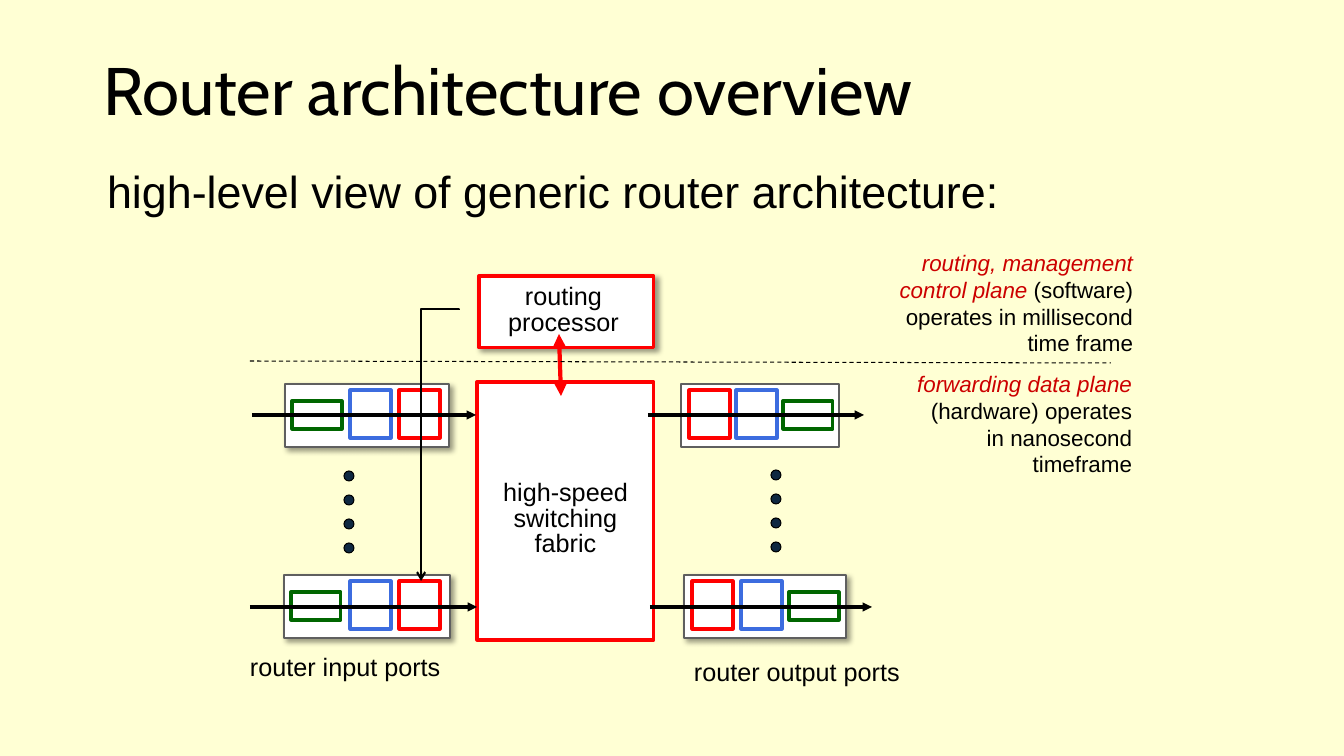
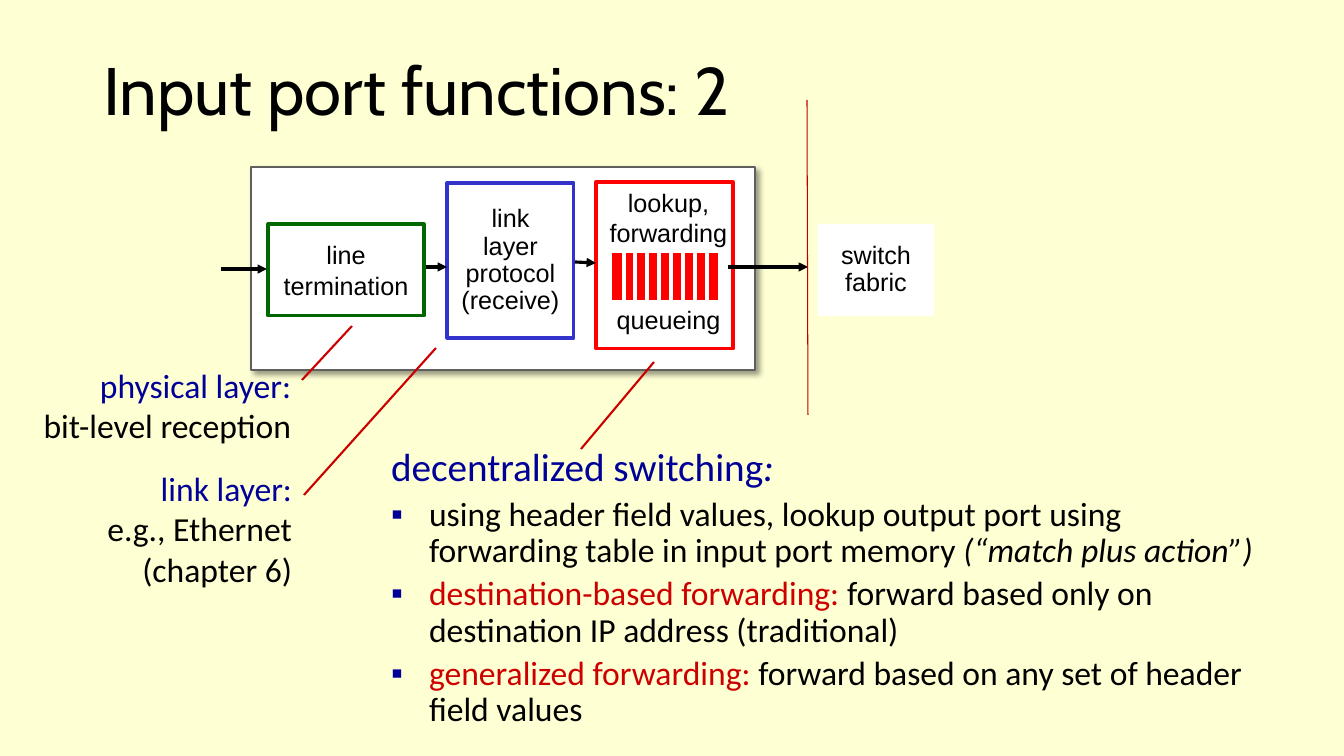
from pptx import Presentation
from pptx.dml.color import RGBColor
from pptx.enum.dml import MSO_LINE
from pptx.enum.shapes import MSO_CONNECTOR, MSO_SHAPE
from pptx.enum.text import MSO_ANCHOR, MSO_AUTO_SIZE, PP_ALIGN
from pptx.oxml import parse_xml
from pptx.oxml.ns import nsdecls, qn
from pptx.util import Pt

PX = 9071  # EMU in one px
BLACK, WHITE, GRAY = "000000", "FFFFFF", "5F5F5F"
RED, DARK_RED, GREEN, NAVY = "FF0000", "CC0000", "006600", "000099"
STRAIGHT, ELBOW = MSO_CONNECTOR.STRAIGHT, MSO_CONNECTOR.ELBOW
LEFT, CENTER, RIGHT = PP_ALIGN.LEFT, PP_ALIGN.CENTER, PP_ALIGN.RIGHT
color = RGBColor.from_string


def box(slide, x, y, w, h, line=None, width=2.25, fill=WHITE, shadow=False,
        kind=MSO_SHAPE.RECTANGLE):
    shape = slide.shapes.add_shape(kind, x * PX, y * PX, w * PX, h * PX)
    shape.fill.solid()
    shape.fill.fore_color.rgb = color(fill)
    if line:
        shape.line.color.rgb = color(line)
        shape.line.width = Pt(width)
    else:
        shape.line.fill.background()
    shape.shadow.inherit = False
    if shadow:
        shape._element.spPr.find(qn("a:effectLst")).append(parse_xml(
            f'<a:outerShdw {nsdecls("a")} blurRad="50800" dist="38100" dir="2700000" '
            'algn="tl" rotWithShape="0"><a:srgbClr val="000000">'
            '<a:alpha val="40000"/></a:srgbClr></a:outerShdw>'))
    return shape


def write(frame, lines, size=18, font="Arial", align=CENTER, spacing=1.0, wrap=False):
    """Each line is a string in black, or a list of (text, colour, italic) runs."""
    frame.word_wrap = wrap
    frame.auto_size = MSO_AUTO_SIZE.NONE
    for number, line in enumerate(lines):
        paragraph = frame.add_paragraph() if number else frame.paragraphs[0]
        paragraph.alignment = align
        paragraph.line_spacing = spacing
        paragraph.space_before = Pt(0)
        runs = [(line, BLACK, False)] if isinstance(line, str) else line
        for text, hue, italic in runs:
            run = paragraph.add_run()
            run.text = text
            run.font.name = font
            run.font.size = Pt(size)
            run.font.color.rgb = color(hue)
            run.font.italic = italic


prs = Presentation()
prs.slide_width, prs.slide_height = 1344 * PX, 756 * PX

# Shared background, titles and body placeholders
background = prs.slide_master.background.fill
background.solid()
background.fore_color.rgb = color("FFFFD4")
pages = []
for title, body_place in [
    ("Router architecture overview", (97, 159, 1189, 65)),
    ("Input port functions: 2", (381, 443, 903, 294)),
]:
    page = prs.slides.add_slide(prs.slide_layouts[1])
    for holder, place in zip(page.placeholders, [(93, 44, 1159, 99), body_place]):
        holder.left, holder.top, holder.width, holder.height = [n * PX for n in place]
    write(page.shapes.title.text_frame, [title], 48, "Cabin", LEFT, 0.9, True)
    page.shapes.title.text_frame.vertical_anchor = MSO_ANCHOR.MIDDLE
    pages.append(page)
overview, functions = pages

# Overview: lead sentence
lead = overview.placeholders[1].text_frame
write(lead, ["high-level view of generic router architecture:"], 32, align=LEFT, wrap=True)

# Overview: switching fabric and routing processor
box(overview, 477, 382, 177, 258, RED)
box(overview, 479, 276, 175, 72, RED, shadow=True)

# Overview: ports, each with termination, link layer and lookup
for x, y, w, termination, link, lookup, shadow in [
    (285, 384, 164, 292, 350, 399, True),
    (284, 575, 166, 291, 350, 399, True),
    (681, 384, 158, 783, 736, 689, False),
    (684, 575, 162, 789, 741, 692, True),
]:
    box(overview, x, y, w, 63, GRAY, 1.5, shadow=shadow)
    box(overview, termination, y + 17, 50, 28, GREEN)
    box(overview, link, y + 6, 41, 48, "3C6CDF")
    box(overview, lookup, y + 6, 41, 48, RED)

# Overview: dots between the ports
for x, y in [(344, 471), (771, 470)]:
    for step in range(4):
        box(overview, x, y + 24 * step, 10, 10, BLACK, 0.75, "0E2841",
            kind=MSO_SHAPE.OVAL)

# Input port: frame, stages, queue and switch fabric
box(functions, 251, 167, 504, 203, GRAY, 1.5, shadow=True)
termination = box(functions, 268, 224, 156, 92, GREEN)
lookup = box(functions, 596, 182, 137, 167, RED)
link = box(functions, 447, 183, 127, 155, "3333CC")
fabric = box(functions, 818, 224, 116, 92)
box(functions, 610, 251, 110, 51, WHITE, 3, RED)
for stage, lines, spacing in [
    (termination, ["line", "termination"], 1.0),
    (link, ["link", "layer", "protocol", "(receive)"], 0.9),
    (fabric, ["switch", "fabric"], 0.9),
]:
    write(stage.text_frame, lines, spacing=spacing)
    stage.text_frame.vertical_anchor = MSO_ANCHOR.MIDDLE
write(lookup.text_frame, ["lookup,", "forwarding", "queueing"])
lookup.text_frame.vertical_anchor = MSO_ANCHOR.TOP
lookup.text_frame.margin_left = 8 * PX
lookup.text_frame.margin_right = 0
lookup.text_frame.paragraphs[2].space_before = Pt(41)

# Labels on both slides
for page, place, lines, size, font, align, spacing, wrap in [
    (overview, (489, 476, 153, 88), ["high-speed", "switching", "fabric"],
     18, "Arial", CENTER, 0.85, False),
    (overview, (498, 280, 131, 61), ["routing", "processor"],
     18, "Arial", CENTER, 0.85, False),
    (overview, (240, 646, 211, 40), ["router input ports"], 18, "Arial", LEFT, 1.0, False),
    (overview, (684, 651, 226, 40), ["router output ports"], 18, "Arial", LEFT, 1.0, False),
    (overview, (826, 244, 317, 119),
     [[("routing, management", DARK_RED, True)],
      [("control plane ", DARK_RED, True), ("(software)", BLACK, False)],
      "operates in millisecond", "time frame"], 16, "Arial", RIGHT, 1.0, False),
    (overview, (902, 365, 240, 119),
     [[("forwarding data plane ", DARK_RED, True),
       ("(hardware) operates in nanosecond timeframe", BLACK, False)]],
     16, "Arial", RIGHT, 1.0, True),
    (functions, (28, 360, 273, 92),
     [[("physical layer:", NAVY, False)], "bit-level reception"],
     24, "Calibri", RIGHT, 1.0, False),
    (functions, (96, 463, 206, 132),
     [[("link layer:", NAVY, False)], "e.g., Ethernet", "(chapter 6)"],
     24, "Calibri", RIGHT, 1.0, False),
]:
    label = page.shapes.add_textbox(*[n * PX for n in place])
    write(label.text_frame, lines, size, font, align, spacing, wrap)

# Input port: decentralized switching list
switching = functions.placeholders[1].text_frame
write(switching, [
    [("decentralized switching", NAVY, False), (":", NAVY, True)],
    [("using header field values, lookup output port using forwarding table "
      "in input port memory ", BLACK, False), ("(“match plus action”)", BLACK, True)],
    [("destination-based forwarding: ", DARK_RED, False),
     ("forward based only on destination IP address (traditional)", BLACK, False)],
    [("generalized forwarding: ", DARK_RED, False),
     ("forward based on any set of header field values", BLACK, False)],
], 24, "Calibri", LEFT, 0.9, True)
for run in switching.paragraphs[0].runs:
    run.font.size = Pt(28)

# Bullets and indents of both bodies
headings = [lead.paragraphs[0], switching.paragraphs[0]]
for paragraph in headings:
    properties = paragraph._p.get_or_add_pPr()
    properties.set("marL", "0")
    properties.set("indent", "0")
    properties.append(parse_xml(f'<a:buNone {nsdecls("a")}/>'))
for paragraph in switching.paragraphs[1:]:
    paragraph.space_before = Pt(5)
    properties = paragraph._p.get_or_add_pPr()
    properties.set("marL", str(38 * PX))
    properties.set("indent", str(-38 * PX))
    for bullet in [
        f'<a:buClr {nsdecls("a")}><a:srgbClr val="{NAVY}"/></a:buClr>',
        f'<a:buFont {nsdecls("a")} typeface="Arial"/>',
        f'<a:buChar {nsdecls("a")} char="▪"/>',
    ]:
        properties.append(parse_xml(bullet))

# Lines and arrows on both slides
dividers = [(624 + step * 83 // 7, 252, 624 + step * 83 // 7, 301) for step in range(8)]
forward = {"tailEnd": "triangle"}
for page, kind, hue, width, dash, ends, routes in [
    (overview, STRAIGHT, RED, 3, None, {"headEnd": "triangle", "tailEnd": "triangle"},
     [(559, 334, 561, 396)]),
    (overview, STRAIGHT, BLACK, 2.25, None, forward,
     [(252, 415, 476, 415), (250, 607, 477, 607),
      (648, 415, 864, 415), (650, 607, 872, 607)]),
    (overview, STRAIGHT, BLACK, 0.75, MSO_LINE.DASH, {}, [(250, 361, 1111, 363)]),
    (overview, ELBOW, BLACK, 1.5, None, {"tailEnd": "arrow"}, [(304, 426, 576, 464)]),
    (functions, STRAIGHT, BLACK, 2.25, None, forward,
     [(221, 269, 267, 269), (426, 267, 447, 267),
      (575, 262, 596, 263), (728, 267, 808, 267)]),
    (functions, STRAIGHT, WHITE, 3, None, {}, dividers),
    (functions, STRAIGHT, "C00000", 0.75, None, {}, [(807, 100, 808, 415)]),
    (functions, STRAIGHT, DARK_RED, 1.5, None, {},
     [(302, 380, 352, 326), (581, 449, 654, 362), (304, 495, 436, 348)]),
]:
    for route in routes:
        connector = page.shapes.add_connector(kind, *[n * PX for n in route])
        connector.line.color.rgb = color(hue)
        connector.line.width = Pt(width)
        if dash:
            connector.line.dash_style = dash
        properties = connector._element.spPr
        for end, head in ends.items():
            properties.find(qn("a:ln")).append(
                parse_xml(f'<a:{end} {nsdecls("a")} type="{head}"/>'))
        properties.append(parse_xml(f'<a:effectLst {nsdecls("a")}/>'))
        if kind == ELBOW:  # a quarter turn, with the bend at the start
            properties.find(qn("a:xfrm")).set("rot", "5400000")
            guides = properties.find(qn("a:prstGeom")).get_or_add_avLst()
            guides.append(parse_xml(
                f'<a:gd {nsdecls("a")} name="adj1" fmla="val -100"/>'))

prs.save("out.pptx")
